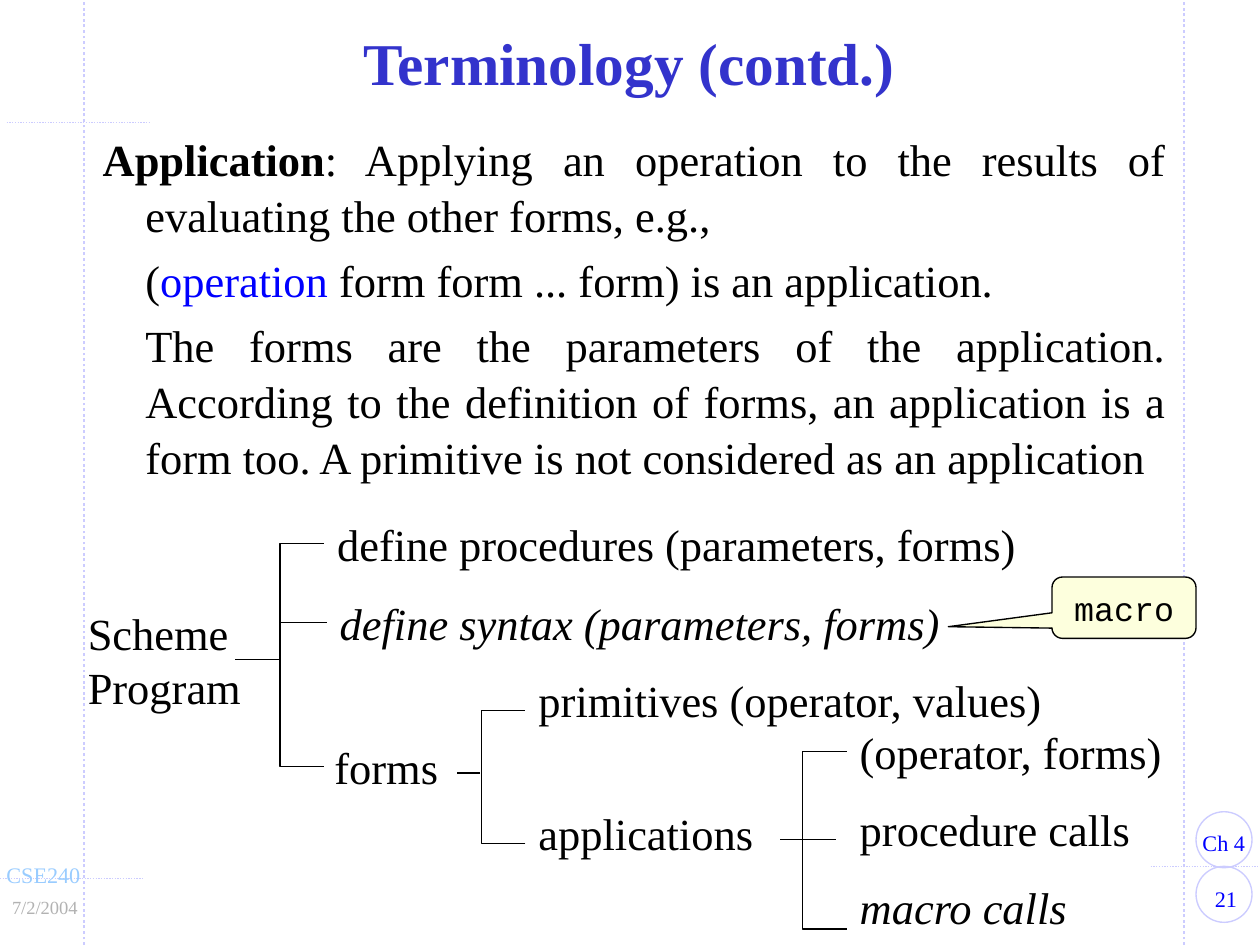
"""Build the Terminology slide with its tree of Scheme program forms."""
from lxml.etree import SubElement
from pptx import Presentation
from pptx.dml.color import RGBColor
from pptx.enum.dml import MSO_LINE
from pptx.enum.shapes import MSO_CONNECTOR, MSO_SHAPE
from pptx.enum.text import MSO_ANCHOR, MSO_AUTO_SIZE, PP_ALIGN
from pptx.oxml.ns import qn
from pptx.util import Emu, Pt

PX = 9144
BRACKET_ARM = 33
SERIF = "Times New Roman"
COLORS = {
    "text": "000000",
    "title": "3333CC",
    "keyword": "0000FF",
    "guide": "CCCCFF",
    "course": "99CCFF",
    "date": "B2B2B2",
    "callout": "FDFFDD",
}


def px(*lengths):
    """Turn px lengths into EMU."""
    return [Emu(length * PX) for length in lengths]


def color(name):
    """Look up a colour by name."""
    return RGBColor.from_string(COLORS[name])


def apply_format(target, values):
    """Set every attribute in values on target."""
    for name, value in values.items():
        setattr(target, name, value)


def add_run(paragraph, text, size=24, color_name="text", **font_format):
    """Append one formatted run to a paragraph."""
    run = paragraph.add_run()
    run.text = text
    apply_format(run.font, {"name": SERIF, "size": Pt(size), **font_format})
    run.font.color.rgb = color(color_name)


def place(shape, box):
    """Move and size a shape."""
    apply_format(shape, dict(zip(("left", "top", "width", "height"), px(*box))))


def style_line(line, color_name="text", width=0.75, dash=None):
    """Format an outline or a connector line."""
    line.color.rgb = color(color_name)
    line.width = Pt(width)
    if dash:
        line.dash_style = dash


def add_label(slide, box, lines, wrap=False, gap=0, align=PP_ALIGN.LEFT, **run_format):
    """Add a text box with one paragraph per line."""
    shape = slide.shapes.add_textbox(*px(*box))
    frame = shape.text_frame
    apply_format(frame, {"word_wrap": wrap, "auto_size": MSO_AUTO_SIZE.SHAPE_TO_FIT_TEXT})
    for index, (text, extra) in enumerate(lines):
        paragraph = frame.add_paragraph() if index else frame.paragraphs[0]
        apply_format(paragraph, {"alignment": align, "space_before": Pt(gap if index else 0)})
        add_run(paragraph, text, **run_format, **extra)


def add_line(slide, start, end, **line_format):
    """Add a straight line without shadow."""
    connector = slide.shapes.add_connector(MSO_CONNECTOR.STRAIGHT, *px(*start, *end))
    SubElement(connector._element.spPr, qn("a:effectLst"))
    style_line(connector.line, **line_format)


def add_bracket(slide, left, top, bottom):
    """Add a square bracket open to the right."""
    right = left + BRACKET_ARM
    builder = slide.shapes.build_freeform(right, bottom, scale=float(PX))
    builder.add_line_segments([(left, bottom), (left, top), (right, top)], close=False)
    shape = builder.convert_to_shape()
    shape.shadow.inherit = False
    shape.fill.background()
    style_line(shape.line)


def add_circle(slide, left, top, size):
    """Add an unfilled guide circle."""
    shape = slide.shapes.add_shape(MSO_SHAPE.OVAL, *px(left, top, size, size))
    shape.shadow.inherit = False
    shape.fill.background()
    style_line(shape.line, "guide")


def add_callout(slide, box, text, adjustments):
    """Add a rounded callout with monospaced text."""
    shape = slide.shapes.add_shape(MSO_SHAPE.ROUNDED_RECTANGULAR_CALLOUT, *px(*box))
    for index, value in enumerate(adjustments):
        shape.adjustments[index] = value
    shape.shadow.inherit = False
    shape.fill.solid()
    shape.fill.fore_color.rgb = color("callout")
    style_line(shape.line)
    paragraph = shape.text_frame.paragraphs[0]
    paragraph.alignment = PP_ALIGN.CENTER
    add_run(paragraph, text, size=18, name="Courier New")


def fill_title(slide, text):
    """Place and write the title."""
    title = slide.shapes.title
    place(title, (69, 17, 806, 67))
    apply_format(title.text_frame, {
        "vertical_anchor": MSO_ANCHOR.MIDDLE, "auto_size": MSO_AUTO_SIZE.NONE})
    paragraph = title.text_frame.paragraphs[0]
    apply_format(paragraph, {
        "alignment": PP_ALIGN.CENTER, "line_spacing": 0.85, "space_before": Pt(0)})
    add_run(paragraph, text, size=32, color_name="title", bold=True)


def fill_body(slide, paragraphs):
    """Place and write the body, with a hanging first paragraph."""
    body = slide.placeholders[1]
    place(body, (67, 92, 817, 308))
    frame = body.text_frame
    frame.auto_size = MSO_AUTO_SIZE.NONE
    margin = px(32)[0]
    for index, runs in enumerate(paragraphs):
        paragraph = frame.add_paragraph() if index else frame.paragraphs[0]
        properties = paragraph._p.get_or_add_pPr()
        properties.set("marL", str(margin))
        properties.set("indent", str(0 if index else -margin))
        SubElement(properties, qn("a:buNone"))
        apply_format(paragraph, {
            "alignment": PP_ALIGN.JUSTIFY, "line_spacing": 1.05,
            "space_before": Pt(5 if index else 0)})
        for text, extra in runs:
            add_run(paragraph, text, **extra)


def add_frame(slide):
    """Draw the dotted guides, the circles and the small labels."""
    for x in (63, 888):
        add_line(slide, (x, 709), (x, 0), color_name="guide", width=1.5, dash=MSO_LINE.ROUND_DOT)
    for left, right, y in ((0, 108, 659), (863, 945, 650), (5, 113, 92)):
        add_line(slide, (left, y), (right, y), color_name="guide", dash=MSO_LINE.ROUND_DOT)
    for top in (650, 609):
        add_circle(slide, 897, top, 42)
    for box, text, label_format in (
        ((892, 659, 55, 30), "21", {"color_name": "keyword", "align": PP_ALIGN.CENTER}),
        ((892, 617, 52, 30), "Ch 4", {"color_name": "keyword"}),
        ((-5, 641, 76, 30), "CSE240", {"color_name": "course"}),
        ((-1, 667, 69, 27), "7/2/2004",
         {"color_name": "date", "size": 10, "align": PP_ALIGN.RIGHT}),
    ):
        add_label(slide, box, [(text, {})], **{"size": 12, **label_format})


def add_tree(slide):
    """Draw the tree of program forms."""
    for box, lines in (
        ((56, 450, 135, 90), [("Scheme", {}), ("Program", {})]),
        ((243, 383, 529, 50), [("define procedures (parameters, forms)", {})]),
        ((245, 442, 474, 51), [("define syntax (parameters, forms)", {"italic": True})]),
        ((241, 550, 98, 50), [("forms", {})]),
        ((394, 500, 399, 50), [("primitives (operator, values)", {})]),
        ((394, 600, 181, 50), [("applications", {})]),
    ):
        add_label(slide, box, lines)
    calls = [("(operator, forms)", {}), ("procedure calls", {}), ("macro calls", {"italic": True})]
    add_label(slide, (635, 539, 273, 170), calls, wrap=True, gap=13)
    for left, top, bottom in ((210, 408, 575), (361, 533, 633), (602, 564, 697)):
        add_bracket(slide, left, top, bottom)
    for left, right, y in ((176, 210, 495), (211, 245, 467), (343, 360, 580), (585, 627, 630)):
        add_line(slide, (right, y), (left, y))


def main():
    """Build and save the presentation."""
    presentation = Presentation()
    presentation.slide_width, presentation.slide_height = px(945, 709)
    slide = presentation.slides.add_slide(presentation.slide_layouts[1])
    add_frame(slide)
    fill_title(slide, "Terminology (contd.)")
    fill_body(slide, [
        [("Application", {"bold": True}),
         (": Applying an operation to the results of evaluating the other forms, e.g.,", {})],
        [("(", {}), ("operation", {"color_name": "keyword"}),
         (" form form ... form) is an application.", {})],
        [("The forms are the parameters of the application. According to the definition of "
          "forms, an application is a form too. A primitive is not considered as an "
          "application", {})],
    ])
    add_tree(slide)
    add_callout(slide, (789, 433, 108, 46), "macro", (-1.22, 0.31, 0.17))
    presentation.save("out.pptx")


if __name__ == "__main__":
    main()
